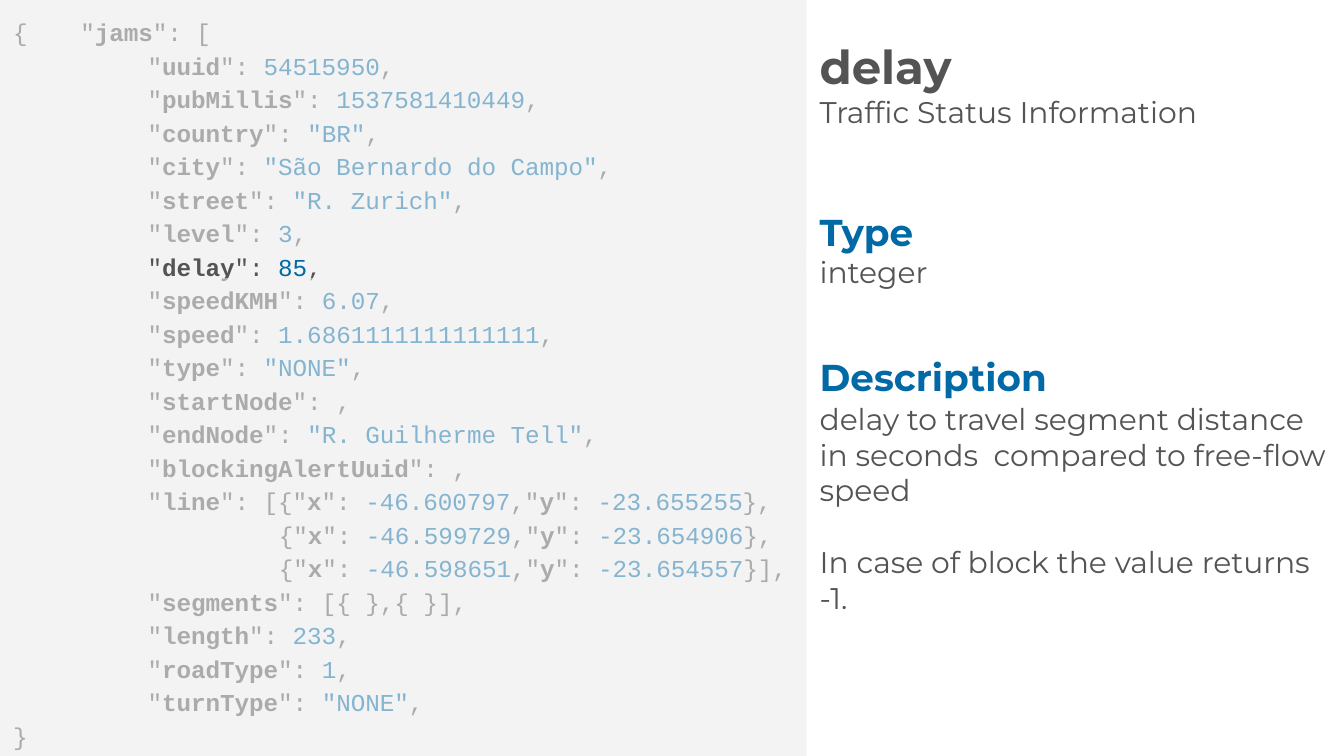
from lxml import etree
from pptx import Presentation
from pptx.dml.color import RGBColor
from pptx.enum.shapes import MSO_SHAPE
from pptx.enum.text import MSO_ANCHOR, MSO_AUTO_SIZE, PP_ALIGN
from pptx.oxml.ns import qn
from pptx.util import Cm, Pt

RECT = MSO_SHAPE.RECTANGLE
TOP, MIDDLE = MSO_ANCHOR.TOP, MSO_ANCHOR.MIDDLE
LEFT = PP_ALIGN.LEFT
FIXED = MSO_AUTO_SIZE.NONE

WIDE, HIGH = 25.4, 14.29
SPLIT = 15.24
GRAY, BLUE, PALE = "545454", "0069A6", "F3F3F3"
CODE, SANS = "Courier New", "Montserrat"
TAB, DEEP = 2.54, 5.02

FIELDS = [
    ("uuid", "54515950"),
    ("pubMillis", "1537581410449"),
    ("country", '"BR"'),
    ("city", '"São Bernardo do Campo"'),
    ("street", '"R. Zurich"'),
    ("level", "3"),
    ("delay", "85"),
    ("speedKMH", "6.07"),
    ("speed", "1.6861111111111111"),
    ("type", '"NONE"'),
    ("startNode", ""),
    ("endNode", '"R. Guilherme Tell"'),
    ("blockingAlertUuid", ""),
]
POINTS = [
    ("-46.600797", "-23.655255"),
    ("-46.599729", "-23.654906"),
    ("-46.598651", "-23.654557"),
]
ENDING = [("length", "233"), ("roadType", "1"), ("turnType", '"NONE"')]


def paint(fmt, color):
    fmt.fore_color.rgb = RGBColor.from_string(color)


def add_run(para, text, size, color=GRAY, bold=False, font=SANS):
    run = para.add_run()
    run.text = text
    run.font.name = font
    run.font.size = Pt(size)
    run.font.bold = bold
    run.font.color.rgb = RGBColor.from_string(color)


def add_panel(slide, top, alpha=None):
    """Add a pale block of slide height; alpha is its opacity in percent."""
    panel = slide.shapes.add_shape(RECT, 0, Cm(top), Cm(SPLIT), Cm(HIGH))
    panel.shadow.inherit = False
    panel.line.fill.background()
    panel.fill.solid()
    paint(panel.fill, PALE)
    if alpha:
        tone = panel.fill._xPr.find(qn("a:solidFill"))[0]
        etree.SubElement(tone, qn("a:alpha")).set("val", str(alpha * 1000))
    return panel


def set_frame(shape, anchor=TOP):
    frame = shape.text_frame
    frame.word_wrap = True
    frame.auto_size = FIXED
    frame.vertical_anchor = anchor
    frame.margin_left = frame.margin_right = Cm(0.25)
    frame.margin_top = frame.margin_bottom = Cm(0.25)
    return frame


def place(shape, top, width, height):
    shape.left, shape.top = Cm(SPLIT), Cm(top)
    shape.width, shape.height = Cm(width), Cm(height)


def next_para(frame, first):
    para = frame.paragraphs[0] if first else frame.add_paragraph()
    para.alignment = LEFT
    para.space_before = Pt(0)
    return para


def set_indent(para, left):
    props = para._p.get_or_add_pPr()
    props.set("marL", str(Cm(left)))
    props.set("indent", "0")
    return props


def pair(key, value, tail=","):
    """Return the (text, color, bold) parts of one JSON entry."""
    parts = [('"', GRAY, False), (key, GRAY, True)]
    if not value:
        return parts + [('": ' + tail, GRAY, False)]
    return parts + [('": ', GRAY, False), (value, BLUE, False),
                    (tail, GRAY, False)]


def code_rows():
    """Return (indent, parts) for each line of the JSON sample."""
    rows = [(0, [("{\t", GRAY, False)] + pair("jams", "", "["))]
    rows += [(TAB, pair(*field)) for field in FIELDS]
    for i, (x, y) in enumerate(POINTS):
        tail = "}]," if i == len(POINTS) - 1 else "},"
        point = pair("x", x) + pair("y", y, tail)
        if i == 0:
            rows.append((TAB, pair("line", "", "[{") + point))
        else:
            rows.append((DEEP, [("{", GRAY, False)] + point))
    rows.append((TAB, pair("segments", "", "[{ },{ }],")))
    rows += [(TAB, pair(*field)) for field in ENDING]
    return rows + [(0, [("}", GRAY, False)])]


def add_code(slide):
    frame = set_frame(add_panel(slide, 0))
    for i, (left, parts) in enumerate(code_rows()):
        para = next_para(frame, i == 0)
        para.line_spacing = 1.15
        props = set_indent(para, left)
        if i == 0:
            stops = etree.SubElement(props, qn("a:tabLst"))
            stop = etree.SubElement(stops, qn("a:tab"))
            stop.set("pos", str(Cm(TAB)))
            stop.set("algn", "l")
        for text, color, bold in parts:
            add_run(para, text, 13, color, bold, CODE)


def fill_title(title):
    place(title, 0.41, 10.16, 2.34)
    frame = set_frame(title, MIDDLE)
    add_run(next_para(frame, True), "delay", 25, bold=True)
    add_run(next_para(frame, False), "Traffic Status Information", 16)


def fill_body(body, texts):
    place(body, 7.32, 10.16, 6.68)
    frame = set_frame(body)
    for i, text in enumerate(texts):
        para = next_para(frame, i == 0)
        if i:
            para.space_before = Pt(19.3)
        etree.SubElement(set_indent(para, 0), qn("a:buNone"))
        add_run(para, text, 16)


def add_label(slide, top, width, height, text, size, color, bold):
    box = slide.shapes.add_textbox(0, 0, 0, 0)
    place(box, top, width, height)
    add_run(next_para(set_frame(box), True), text, size, color, bold)


def main():
    deck = Presentation()
    deck.slide_width, deck.slide_height = Cm(WIDE), Cm(HIGH)
    slide = deck.slides.add_slide(deck.slide_layouts[1])
    title, body = slide.placeholders
    add_code(slide)
    fill_title(title)
    add_label(slide, 3.71, 4.9, 1.27, "Type", 20, BLUE, True)
    add_label(slide, 4.55, 9.14, 2.21, "integer", 16, GRAY, False)
    fill_body(body, [
        "delay to travel segment distance in seconds  compared to "
        "free-flow speed",
        "In case of block the value returns -1.",
    ])
    add_label(slide, 6.45, 4.9, 1.27, "Description", 20, BLUE, True)
    for top in (5.26, -9.58):
        add_panel(slide, top, 55)
    deck.save("out.pptx")


if __name__ == "__main__":
    main()
